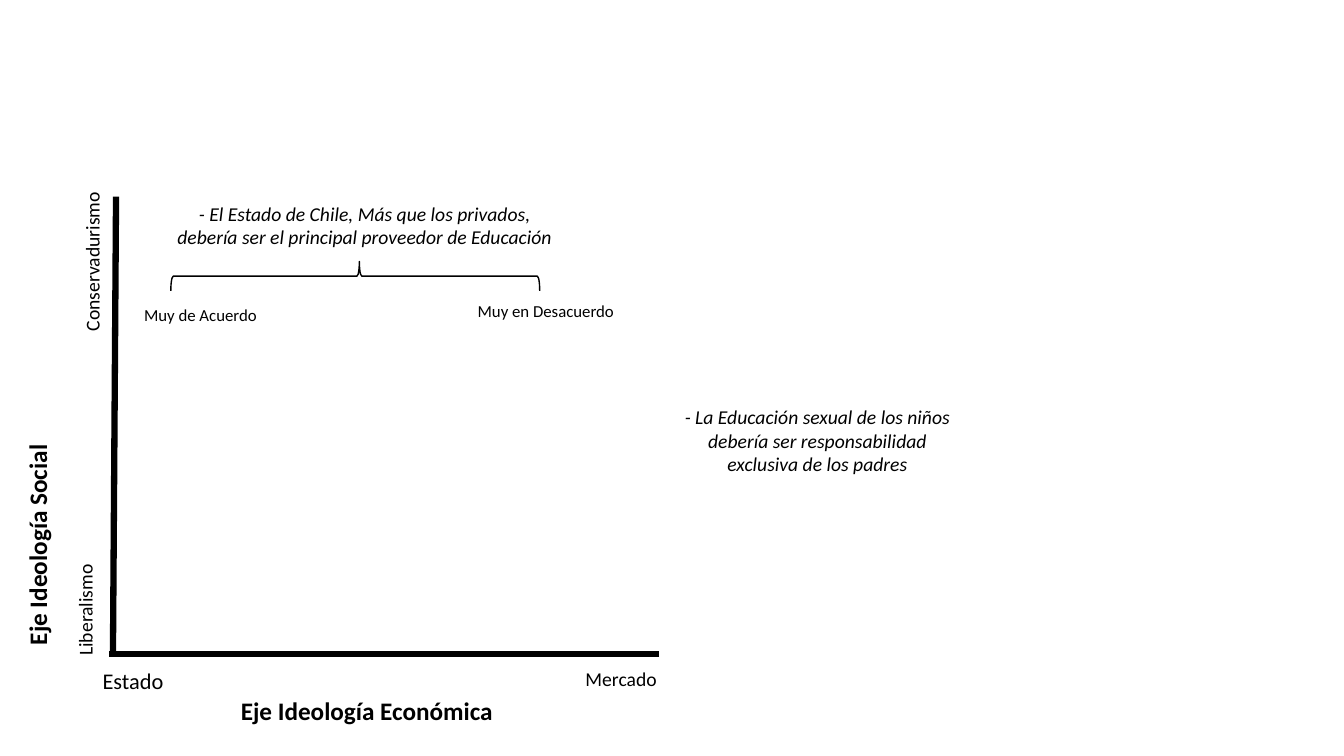
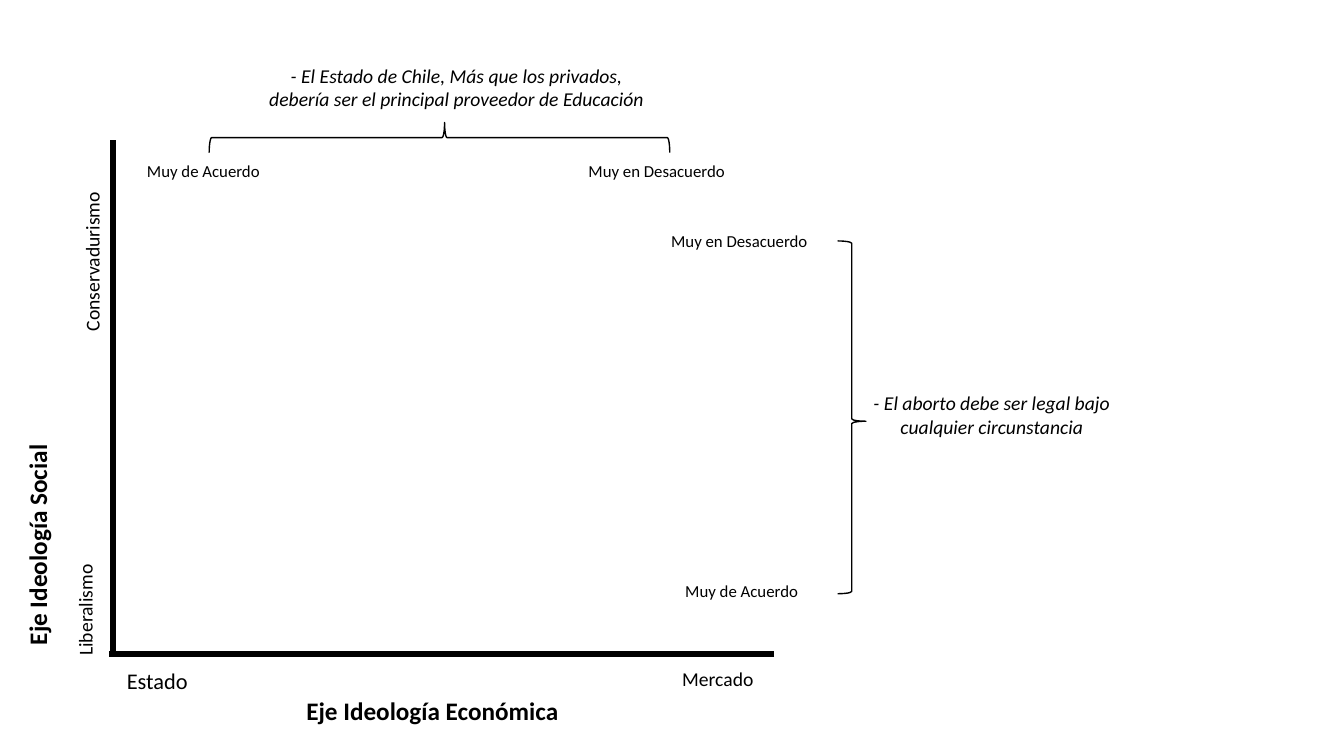
from collections import namedtuple

from pptx import Presentation
from pptx import util as u
from pptx.dml import color
from pptx.enum import shapes, text
from pptx.oxml import xmlchemy
from pptx.oxml.ns import qn
from lxml import etree

BLACK = color.RGBColor(0, 0, 0)
FONT = "Calibri"
AXIS_WEIGHT = 4.5
BRACE_WEIGHT = 1
AXIS_BOTTOM = 467.3
AXIS_LEFT = 77.8
AGREE = "Muy de Acuerdo"
DISAGREE = "Muy en Desacuerdo"
LABEL_WIDTHS = {AGREE: 103, DISAGREE: 120.2}
STATE_STATEMENT = ("- El Estado de Chile, Más que los privados, "
                   "debería ser el principal proveedor de Educación")

Box = namedtuple("Box", "left top width height")


def swap_sides(box):
    return Box(box.left + (box.width - box.height) / 2,
               box.top + (box.height - box.width) / 2,
               box.height, box.width)


def in_points(box):
    return [u.Pt(length) for length in box]


def add_text(slide, box, wording, size=14, bold=False, italic=False,
             align=text.PP_ALIGN.LEFT, upward=False):
    shape = slide.shapes.add_textbox(*in_points(swap_sides(box) if upward else box))
    shape.rotation = 270 if upward else 0
    frame = shape.text_frame
    frame.word_wrap = True
    paragraph = frame.paragraphs[0]
    paragraph.alignment = align
    run = paragraph.add_run()
    run.text = wording
    run.font.name = FONT
    run.font.size = u.Pt(size)
    run.font.bold = bold
    run.font.italic = italic
    run.font.color.rgb = BLACK


def add_statement(slide, box, wording):
    add_text(slide, box, wording, italic=True, align=text.PP_ALIGN.CENTER)


def add_axis(slide, start, end):
    line = slide.shapes.add_connector(
        shapes.MSO_CONNECTOR.STRAIGHT, *in_points(start + end))
    line.line.color.rgb = BLACK
    line.line.width = u.Pt(AXIS_WEIGHT)
    etree.SubElement(line._element.spPr, qn("a:effectLst"))


def draw_axes(slide, box, lean, state_offset, market_inset, title_offset):
    right, bottom = box.left + box.width, box.top + box.height
    foot = box.left + 2.9
    add_axis(slide, (foot + lean, box.top), (foot, bottom + 0.7))
    add_axis(slide, (right, bottom), (box.left, bottom))

    add_text(slide, Box(box.left + state_offset, bottom + 5.7, 81.4, 26.6), "Estado", size=16)
    add_text(slide, Box(right - market_inset, bottom + 5.7, 81.4, 24.5), "Mercado")
    add_text(slide, Box(box.left + title_offset, bottom + 25.9, 195.8, 28.8),
             "Eje Ideología Económica", size=18, bold=True)

    add_text(slide, Box(box.left - 24.1, bottom - 366.8, 24.5, 143.3),
             "Conservadurismo", upward=True)
    add_text(slide, Box(box.left - 29.2, bottom - 99.1, 24.5, 107.3),
             "Liberalismo", upward=True)
    add_text(slide, Box(box.left - 65.6, bottom - 195.2, 28.8, 195.8),
             "Eje Ideología Social", size=18, bold=True, upward=True)


def draw_scale(slide, box, rotation, label_offsets):
    shape = slide.shapes.add_shape(
        shapes.MSO_SHAPE.LEFT_BRACE,
        *in_points(swap_sides(box) if rotation == 90 else box))
    shape.rotation = rotation
    shape.adjustments[0] = 0.083
    shape.adjustments[1] = 0.489
    shape.shadow.inherit = False
    shape.fill.background()
    shape.line.color.rgb = BLACK
    shape.line.width = u.Pt(BRACE_WEIGHT)
    for wording, (across, down) in label_offsets.items():
        add_text(slide, Box(box.left + across, box.top + down, LABEL_WIDTHS[wording], 21.6),
                 wording, size=12)


def build_first_slide(slide):
    draw_axes(slide, Box(AXIS_LEFT, 140.4, 393.1, AXIS_BOTTOM - 140.4),
              lean=2.2, state_offset=-11.6, market_inset=59.8, title_offset=87.1)
    add_statement(slide, Box(113, 140.4, 295.2, 41), STATE_STATEMENT)
    draw_scale(slide, Box(122, 186.8, 263.5, 20.9), 90,
               {AGREE: (-26.2, 27), DISAGREE: (212.1, 24.2)})
    add_statement(slide, Box(473.8, 285.8, 220.3, 58.3),
                  "- La Educación sexual de los niños debería ser responsabilidad "
                  "exclusiva de los padres")


def build_second_slide(slide):
    draw_axes(slide, Box(AXIS_LEFT, 100.1, 475.2, AXIS_BOTTOM - 100.1),
              lean=0, state_offset=5.7, market_inset=72.8, title_offset=133.9)
    add_statement(slide, Box(178.6, 41.8, 295.2, 41), STATE_STATEMENT)
    draw_scale(slide, Box(149.4, 87.5, 329, 21.6), 90,
               {AGREE: (-51.5, 24.1), DISAGREE: (263.9, 24.1)})
    add_statement(slide, Box(598.3, 275.8, 220.3, 41),
                  "- El aborto debe ser legal bajo cualquier circunstancia")
    draw_scale(slide, Box(598.3, 172.1, 20.2, 252), 180,
               {AGREE: (-115.9, 239), DISAGREE: (-126, -10.8)})


presentation = Presentation()
presentation.slide_width = u.Pt(960)
presentation.slide_height = u.Pt(540)
for build in (build_first_slide, build_second_slide):
    build(presentation.slides.add_slide(presentation.slide_layouts[6]))
presentation.save("out.pptx")
